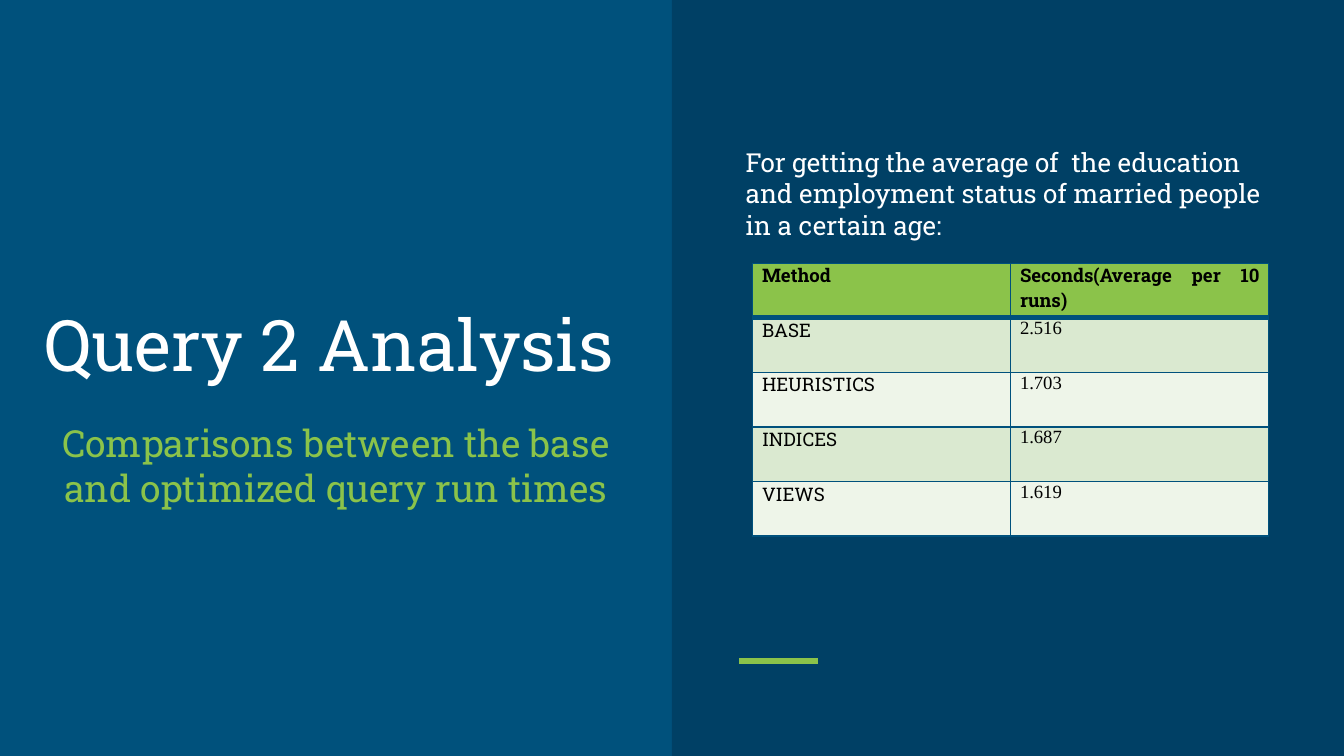
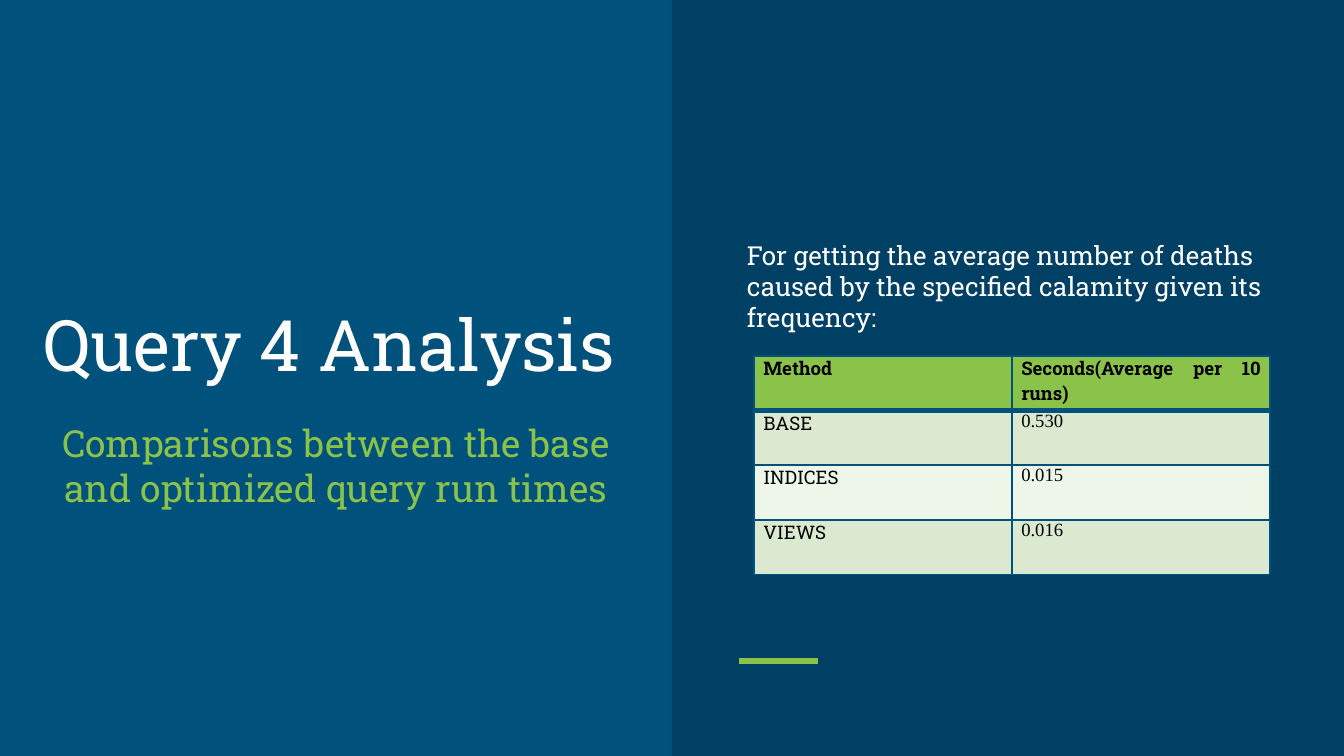
from lxml import etree
from pptx import Presentation
from pptx.dml.color import RGBColor
from pptx.enum.shapes import MSO_CONNECTOR, MSO_SHAPE
from pptx.enum.text import MSO_ANCHOR, MSO_AUTO_SIZE, PP_ALIGN
from pptx.oxml.ns import qn
from pptx.util import Inches, Pt

RECT, STRAIGHT = MSO_SHAPE.RECTANGLE, MSO_CONNECTOR.STRAIGHT
TOP, BOTTOM = MSO_ANCHOR.TOP, MSO_ANCHOR.BOTTOM
LEFT, CENTER, JUSTIFY = PP_ALIGN.LEFT, PP_ALIGN.CENTER, PP_ALIGN.JUSTIFY
NO_FIT, GROW = MSO_AUTO_SIZE.NONE, MSO_AUTO_SIZE.SHAPE_TO_FIT_TEXT

COLORS = {
    "bg": "00517C", "panel": "004065", "accent": "8BC34A", "white": "FFFFFF",
    "black": "000000", "band_odd": "DAE9D0", "band_even": "EEF5E9",
}
SLAB, SERIF = "Roboto Slab", "Times New Roman"
WIDTH = 10
HEIGHT = WIDTH * 9 / 16
COL_WIDTH, ROW_HEIGHT = 1.92, 2.03 / 5
HEADER = ("Method", "Seconds(Average per 10 runs)")
SUBTITLE = "Comparisons between the base and optimized query run times"
QUERIES = [
    {
        "title": "Query 2 Analysis",
        "intro": "For getting the average of  the education and employment "
                 "status of married people in a certain age:",
        "intro_at": (5.45, 1.04),
        "table_at": (5.6, 1.96),
        "rows": [("BASE", "2.516"), ("HEURISTICS", "1.703"),
                 ("INDICES", "1.687"), ("VIEWS", "1.619")],
    },
    {
        "title": "Query 4 Analysis",
        "intro": "For getting the average number of deaths caused by the "
                 "specified calamity given its frequency:",
        "intro_at": (5.46, 1.73),
        "table_at": (5.61, 2.65),
        "rows": [("BASE", "0.530"), ("INDICES", "0.015"), ("VIEWS", "0.016")],
    },
]


def rgb(name):
    """Return the named colour."""
    return RGBColor.from_string(COLORS[name])


def write(tf, text, size=14, font=SLAB, color="white", bold=False, align=LEFT):
    """Put one formatted paragraph in a text frame."""
    tf.word_wrap = True
    p = tf.paragraphs[0]
    p.alignment = align
    r = p.add_run()
    r.text = text
    r.font.size, r.font.name, r.font.bold = Pt(size), font, bold
    r.font.color.rgb = rgb(color)


def set_frame(tf, anchor=TOP, fit=NO_FIT, inset=0.05):
    """Set the anchor, fit and vertical insets of a text frame."""
    tf.vertical_anchor, tf.auto_size = anchor, fit
    tf.margin_left = tf.margin_right = Inches(0.1)
    tf.margin_top = tf.margin_bottom = Inches(inset)


def add_backdrop(s):
    """Add the right-hand panel and its accent line."""
    sp = s.shapes.add_shape(RECT, Inches(WIDTH / 2), 0, Inches(WIDTH / 2), Inches(HEIGHT))
    sp.shadow.inherit = False
    sp.fill.solid()
    sp.fill.fore_color.rgb = rgb("panel")
    sp.line.fill.background()
    line = s.shapes.add_connector(STRAIGHT, Inches(5.5), Inches(4.92), Inches(6.09), Inches(4.92))
    line.line.color.rgb = rgb("accent")
    line.line.width = Pt(3)
    etree.SubElement(line._element.spPr, qn("a:effectLst"))


def add_title(s, text):
    """Place and fill the slide title."""
    sp = s.shapes.title
    sp.left, sp.top, sp.width, sp.height = map(Inches, (0.18, 1.32, 4.54, 1.65))
    set_frame(sp.text_frame, anchor=BOTTOM, inset=0.1)
    write(sp.text_frame, text, size=38, align=CENTER)


def add_subtitle(s, text):
    """Add the line of text under the title."""
    sp = s.shapes.add_textbox(*map(Inches, (0.29, 3.03, 4.42, 1.47)))
    set_frame(sp.text_frame, inset=0.1)
    write(sp.text_frame, text, size=20, color="accent", align=CENTER)


def add_intro(s, text, left, top):
    """Add the description above the table."""
    sp = s.shapes.add_textbox(*map(Inches, (left, top, 4.23, 0.81)))
    set_frame(sp.text_frame, fit=GROW)
    write(sp.text_frame, text)


def set_borders(cell, top=1, bottom=1):
    """Draw the four borders of a cell, with widths in points."""
    tcPr = cell._tc.get_or_add_tcPr()
    for side, width in (("L", 1), ("R", 1), ("T", top), ("B", bottom)):
        ln = etree.SubElement(tcPr, qn(f"a:ln{side}"), w=str(Pt(width)))
        fill = etree.SubElement(ln, qn("a:solidFill"))
        etree.SubElement(fill, qn("a:srgbClr"), val=COLORS["bg"])


def add_times_table(s, rows, left, top):
    """Add the table of run times by method."""
    cells = [HEADER, *rows]
    size = (len(HEADER) * COL_WIDTH, len(cells) * ROW_HEIGHT)
    table = s.shapes.add_table(len(cells), len(HEADER),
                               *map(Inches, (left, top, *size))).table
    table.first_row = table.horz_banding = False
    for col in table.columns:
        col.width = Inches(COL_WIDTH)
    for i, row in enumerate(cells):
        table.rows[i].height = Inches(ROW_HEIGHT)
        is_header = i == 0
        fill = "accent" if is_header else "band_odd" if i % 2 else "band_even"
        for j, text in enumerate(row):
            cell = table.cell(i, j)
            cell.margin_left = cell.margin_right = Inches(0.07)
            cell.margin_top = cell.margin_bottom = 0
            set_borders(cell, top=3 if i == 1 else 1, bottom=3 if is_header else 1)
            cell.fill.solid()
            cell.fill.fore_color.rgb = rgb(fill)
            write(cell.text_frame, text, size=10, color="black", bold=is_header,
                  font=SERIF if j and not is_header else SLAB, align=JUSTIFY)


def add_query_slide(prs, query):
    """Add one slide that analyses a query."""
    s = prs.slides.add_slide(prs.slide_layouts[5])
    add_backdrop(s)
    add_title(s, query["title"])
    add_subtitle(s, SUBTITLE)
    add_times_table(s, query["rows"], *query["table_at"])
    add_intro(s, query["intro"], *query["intro_at"])


def main():
    """Build and save the presentation."""
    prs = Presentation()
    prs.slide_width, prs.slide_height = Inches(WIDTH), Inches(HEIGHT)
    fill = prs.slide_master.background.fill
    fill.solid()
    fill.fore_color.rgb = rgb("bg")
    for query in QUERIES:
        add_query_slide(prs, query)
    prs.save("out.pptx")


if __name__ == "__main__":
    main()
